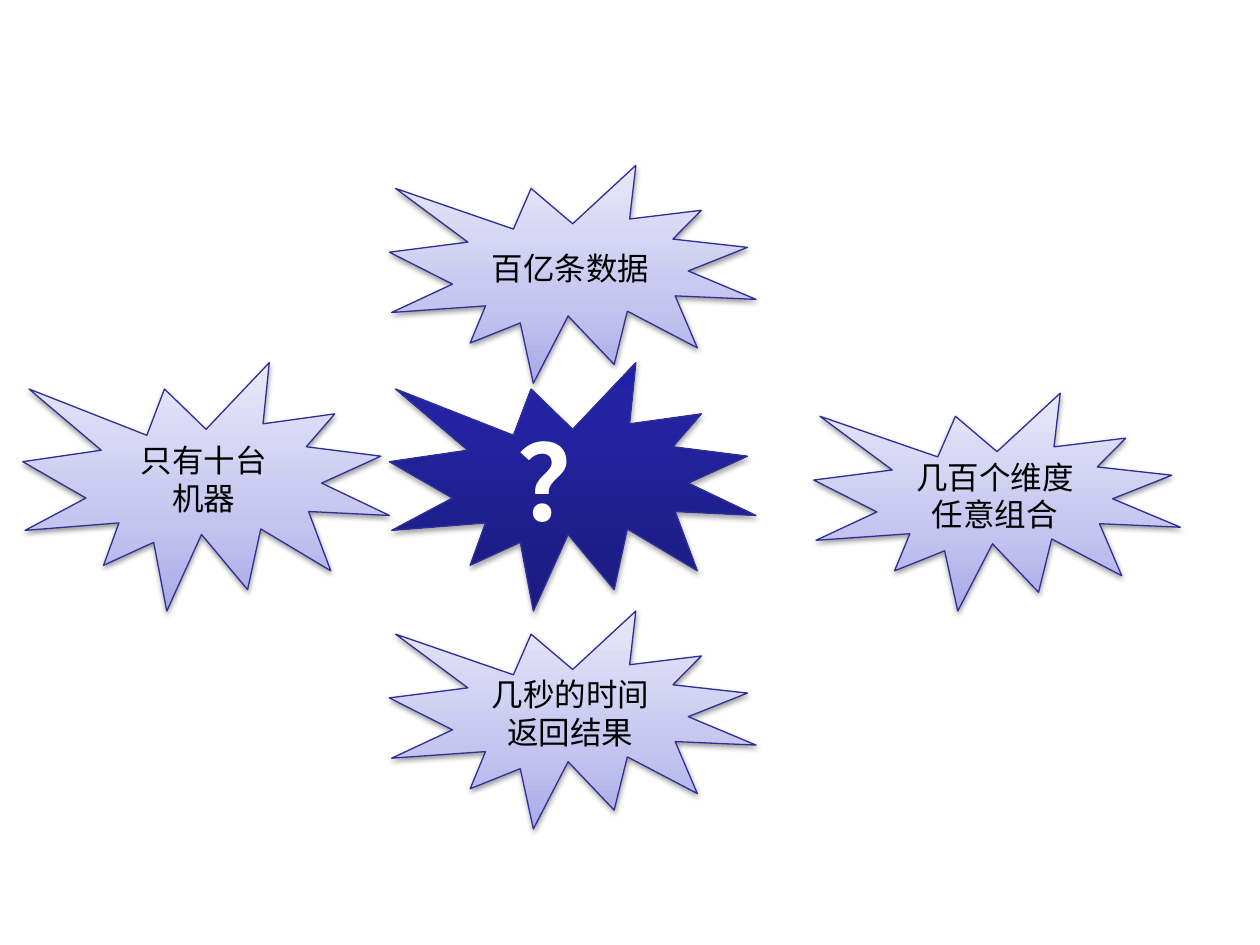
"""Build a slide of four bursts of constraints around a question mark."""
from dataclasses import dataclass

from lxml import etree
from pptx import Presentation
from pptx.dml.color import RGBColor
from pptx.enum.lang import MSO_LANGUAGE_ID
from pptx.enum.shapes import MSO_SHAPE
from pptx.enum.text import MSO_ANCHOR, PP_ALIGN
from pptx.oxml import parse_xml
from pptx.oxml.ns import nsdecls, qn
from pptx.util import Pt

BURST = MSO_SHAPE.EXPLOSION1
CENTER = PP_ALIGN.CENTER
MIDDLE = MSO_ANCHOR.MIDDLE
CHINESE = MSO_LANGUAGE_ID.SIMPLIFIED_CHINESE


@dataclass(frozen=True)
class Theme:
    font: str = "Arial"
    body: int = 18
    mark: int = 60
    ink: str = "000000"
    white: str = "FFFFFF"
    edge: str = "2F2F98"
    pale: tuple = ((0, "A9A9E9"), (35, "C4C4EF"), (100, "E8E8FA"))
    deep: tuple = ((0, "1B1B7E"), (80, "2323A3"), (100, "2020A6"))


theme = Theme()


def write(shape, text, size=theme.body, color=theme.ink, bold=False):
    frame = shape.text_frame
    frame.word_wrap = True
    frame.vertical_anchor = MIDDLE
    frame.text = text
    for para in frame.paragraphs:
        para.alignment = CENTER
        for run in para.runs:
            font = run.font
            font.name = theme.font
            font.size = Pt(size)
            font.bold = bold
            font.color.rgb = RGBColor.from_string(color)
            font.language_id = CHINESE


def paint(shape, stops, alpha, drop):
    shape.fill.gradient()
    shape.fill.gradient_angle = 90
    shape.line.color.rgb = RGBColor.from_string(theme.edge)
    shape.line.width = Pt(0.75)
    shape.shadow.inherit = False
    props = shape.element.spPr
    ramp = props.find(".//" + qn("a:gsLst"))
    for old in list(ramp):
        ramp.remove(old)
    for pos, color in stops:
        stop = etree.SubElement(ramp, qn("a:gs"), pos=str(pos * 1000))
        etree.SubElement(stop, qn("a:srgbClr"), val=color)
    props.find(qn("a:effectLst")).append(parse_xml(
        f'<a:outerShdw {nsdecls("a")} blurRad="{Pt(3.1)}" dist="{Pt(drop)}" '
        f'dir="5400000" rotWithShape="0"><a:srgbClr val="{theme.ink}">'
        f'<a:alpha val="{alpha * 1000}"/></a:srgbClr></a:outerShdw>'))


deck = Presentation()
deck.slide_width, deck.slide_height = Pt(720), Pt(540)
slide = deck.slides.add_slide(deck.slide_layouts[6])

wide, short, tall = 209.5, 124.5, 142
left, right, top, base = 13, 465, 94.5, 349.2
mid = left + wide
pale = dict(stops=theme.pale, alpha=38, drop=1.6)
deep = dict(stops=theme.deep, alpha=35, drop=1.8)
mark = dict(size=theme.mark, color=theme.white, bold=True)

bursts = [
    ("几秒的时间返回结果", mid, base, short, pale, {}),
    ("只有十台\n机器", left, base - tall, tall, pale, {}),
    ("百亿条数据", mid, top, short, pale, {}),
    ("几百个维度任意组合", right, base - short, short, pale, {}),
    ("?", mid, base - tall, tall, deep, mark),
]
for text, x, y, high, look, style in bursts:
    burst = slide.shapes.add_shape(BURST, Pt(x), Pt(y), Pt(wide), Pt(high))
    paint(burst, **look)
    write(burst, text.replace("?", "\uff1f"), **style)

deck.save("out.pptx")
